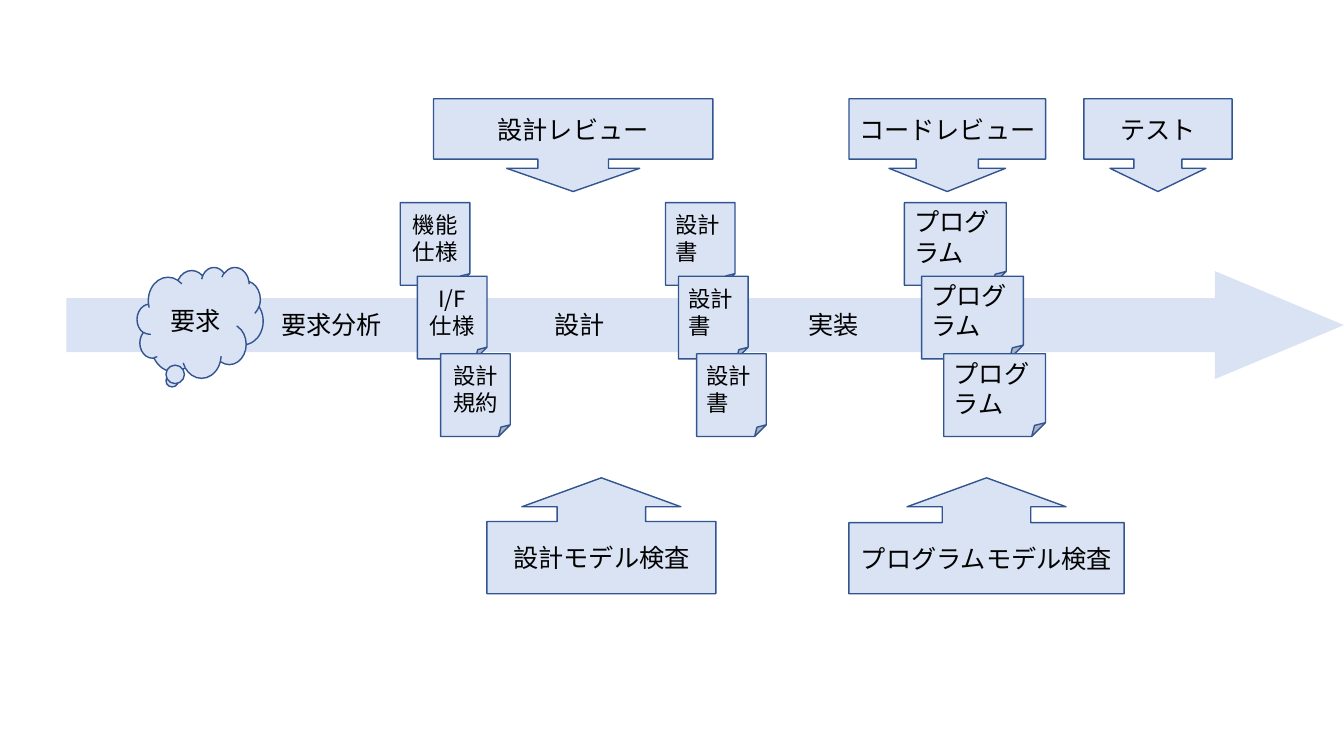
from lxml import etree
from pptx import Presentation
from pptx.dml.color import RGBColor
from pptx.enum.shapes import MSO_SHAPE
from pptx.enum.text import MSO_ANCHOR, MSO_AUTO_SIZE, PP_ALIGN
from pptx.oxml.ns import qn
from pptx.util import Inches, Pt

ARROW = MSO_SHAPE.RIGHT_ARROW
CLOUD = MSO_SHAPE.CLOUD_CALLOUT
SHEET = MSO_SHAPE.FOLDED_CORNER
DOWN = MSO_SHAPE.DOWN_ARROW_CALLOUT
UP = MSO_SHAPE.UP_ARROW_CALLOUT
LEFT, CENTER = PP_ALIGN.LEFT, PP_ALIGN.CENTER
TOP, MIDDLE = MSO_ANCHOR.TOP, MSO_ANCHOR.MIDDLE
GROW = MSO_AUTO_SIZE.SHAPE_TO_FIT_TEXT


def color(code):
    """Turn a hex string into a colour."""
    return RGBColor.from_string(code)


def write(frame, text, size=18, align=CENTER, anchor=MIDDLE, font="Noto Sans CJK JP", ink="000000"):
    """Put formatted text into a frame."""
    frame.word_wrap = True
    frame.vertical_anchor = anchor
    para = frame.paragraphs[0]
    para.alignment = align
    run = para.add_run()
    run.text = text
    run.font.size = Pt(size)
    run.font.color.rgb = color(ink)
    run.font.name = font
    east = etree.SubElement(run.font._element, qn("a:ea"))
    east.set("typeface", font)


class Board:
    """Hold the style and the current slide."""

    fill, edge = "DAE3F3", "325491"

    def __init__(self, slide):
        """Keep the slide to draw on."""
        self.slide = slide

    def shape(self, kind, box, text="", adj=(), line=True, **style):
        """Add a preset shape, with text if given."""
        item = self.slide.shapes.add_shape(kind, *map(Inches, box))
        item.shadow.inherit = False
        item.fill.solid()
        item.fill.fore_color.rgb = color(self.fill)
        if line:
            item.line.color.rgb = color(self.edge)
            item.line.width = Pt(1)
        else:
            item.line.fill.background()
        for spot, value in enumerate(adj):
            item.adjustments[spot] = value
        if text:
            write(item.text_frame, text, **style)

    def label(self, left, width, text):
        """Add a phase name on the arrow."""
        box = self.slide.shapes.add_textbox(*map(Inches, (left, 3.02, width, 0.4)))
        write(box.text_frame, text, align=LEFT, anchor=TOP)
        box.text_frame.auto_size = GROW

    def stack(self, lefts, width, names, **style):
        """Add overlapping sheets, from back to front."""
        for left, top, name in zip(lefts, (2.01, 2.74, 3.51), names):
            self.shape(SHEET, (left, top, width, 0.82), name, **style)


deck = Presentation()
deck.slide_width, deck.slide_height = Inches(13.33), Inches(7.5)
board = Board(deck.slides.add_slide(deck.slide_layouts[6]))

board.shape(ARROW, (0.66, 2.69, 12.56 + 0.11, 1.07), adj=(0.5, 1.195), line=False)
board.shape(CLOUD, (1.36, 2.65, 1.25, 1.1), "要求", adj=(-0.225, 0.533))

for left, width, phase in ((2.69, 1.22, "要求分析"), (5.4, 0.76, "設計"), (7.92, 0.83, "実装")):
    board.label(left, width, phase)

board.stack((3.97, 4.14, 4.37), 0.69, ("機能仕様", "I/F仕様", "設計規約"), size=16)
board.stack((6.6, 6.73, 6.91), 0.69, ("設計書",) * 3, size=16, align=LEFT)
board.stack((8.97, 9.14, 9.36), 1.01, ("プログラム",) * 3, align=LEFT)

REVIEWS = (
    (4.3, 2.77, "設計レビュー", 0.761, 0.717),
    (8.42, 1.95, "コードレビュー", 0.672, 0.628),
    (10.75, 1.47, "テスト", 0.517, 0.517),
)
for left, width, name, stem, head in REVIEWS:
    board.shape(DOWN, (left, 0.98, width, 0.92), name, adj=(stem, head, 0.25, 0.65))

CHECKS = ((4.83, 2.27, "設計モデル検査", 0.623), (8.42, 2.73, "プログラムモデル検査", 0.613))
for left, width, name, body in CHECKS:
    board.shape(UP, (left, 4.74, width, 1.15), name, adj=(0.763, 0.686, 0.25, body))

deck.save("out.pptx")
